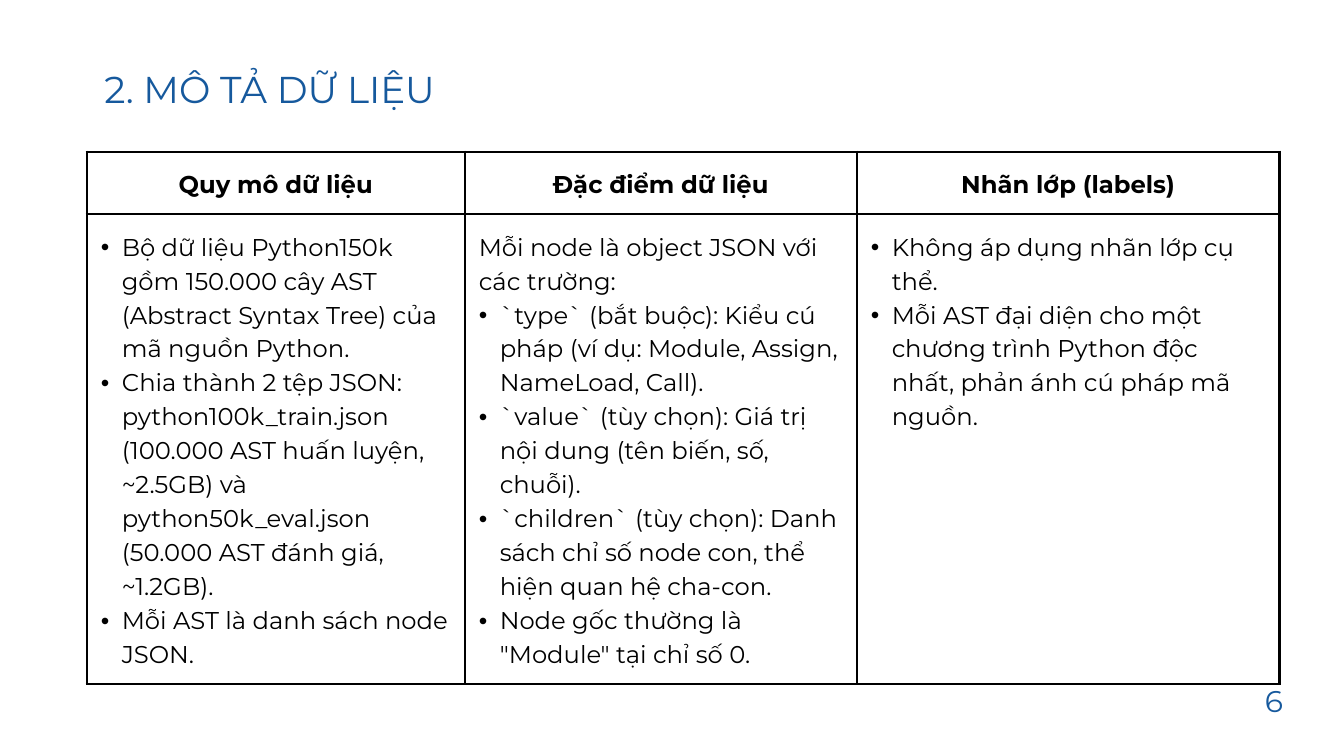
from dataclasses import dataclass

from lxml import etree
from pptx import Presentation
from pptx import util as u
from pptx.dml.color import RGBColor
from pptx.enum import text
from pptx.oxml import ns

PX = 9525


@dataclass(frozen=True)
class Theme:
    """Colours, font and type sizes of the deck."""
    font: str = "Montserrat"
    accent: str = "16599D"
    ink: str = "000000"
    title_size: int = 40
    number_size: int = 32
    body_size: int = 26
    body_leading: float = 36.4
    border: int = 3
    inset: int = 20
    indent: int = 30


def px(length):
    """Turn px into EMU."""
    return u.Emu(length * PX)


class Painter:
    """Draws styled elements on the current slide."""

    def __init__(self, page, theme):
        """Keep the slide and its style."""
        self.page = page
        self.theme = theme

    def add_words(self, para, words, size, color, leading, bold=False, align=None):
        """Fill a paragraph with one styled run."""
        para.alignment = align
        para.line_spacing = u.Pt(leading)
        span = para.add_run()
        span.text = words
        span.font.name = self.theme.font
        span.font.size = u.Pt(size)
        span.font.bold = bold
        span.font.color.rgb = RGBColor.from_string(color)

    def indent(self, para, margin, first=0):
        """Set the left margin and first-line indent."""
        properties = para._p.get_or_add_pPr()
        properties.set("marL", str(px(margin)))
        properties.set("indent", str(px(first)))
        return properties

    def bullet(self, para):
        """Give a paragraph a hanging bullet."""
        properties = self.indent(para, self.theme.indent, -self.theme.indent)
        font = etree.SubElement(properties, ns.qn("a:buFont"))
        font.set("typeface", "Arial")
        etree.SubElement(properties, ns.qn("a:buChar")).set("char", "•")

    def label(self, words, left, top, width, height, size, leading, wrap=True, align=None):
        """Add a text box without insets and return its paragraph."""
        box = self.page.shapes.add_textbox(px(left), px(top), px(width), px(height))
        frame = box.text_frame
        frame.margin_left = frame.margin_right = 0
        frame.margin_top = frame.margin_bottom = 0
        frame.word_wrap = wrap
        frame.auto_size = text.MSO_AUTO_SIZE.SHAPE_TO_FIT_TEXT
        para = frame.paragraphs[0]
        self.add_words(para, words, size, self.theme.accent, leading, align=align)
        return para

    def frame_cell(self, cell):
        """Clear a cell's fill, set its insets and draw its borders."""
        inset = px(self.theme.inset)
        cell.margin_left = cell.margin_right = inset
        cell.margin_top = cell.margin_bottom = inset
        cell.fill.background()
        properties = cell._tc.get_or_add_tcPr()
        for place, side in enumerate(("lnL", "lnR", "lnT", "lnB")):
            line = etree.Element(ns.qn(f"a:{side}"), w=str(u.Pt(self.theme.border)))
            fill = etree.SubElement(line, ns.qn("a:solidFill"))
            etree.SubElement(fill, ns.qn("a:srgbClr"), val=self.theme.ink)
            properties.insert(place, line)

    def table(self, columns, left, top, widths, heights):
        """Add a table with a header and a list of paragraphs per column."""
        theme = self.theme
        grid = self.page.shapes.add_table(
            2, len(columns), px(left), px(top), px(sum(widths)), px(sum(heights))
        ).table
        grid.first_row = grid.horz_banding = False
        for row, height in zip(grid.rows, heights):
            row.height = px(height)
        for index, (heading, intro, points) in enumerate(columns):
            grid.columns[index].width = px(widths[index])
            header, body = grid.cell(0, index), grid.cell(1, index)
            self.frame_cell(header)
            self.frame_cell(body)
            header.vertical_anchor = text.MSO_ANCHOR.MIDDLE
            self.add_words(header.text_frame.paragraphs[0], heading, theme.body_size, theme.ink,
                           theme.body_leading, bold=True, align=text.PP_ALIGN.CENTER)
            for order, words in enumerate(intro + points):
                frame = body.text_frame
                para = frame.add_paragraph() if order else frame.paragraphs[0]
                self.add_words(para, words, theme.body_size, theme.ink, theme.body_leading)
                if order >= len(intro):
                    self.bullet(para)


COLUMNS = [
    ("Quy mô dữ liệu", [], [
        "Bộ dữ liệu Python150k gồm 150.000 cây AST (Abstract Syntax Tree) của mã nguồn Python.",
        "Chia thành 2 tệp JSON: python100k_train.json (100.000 AST huấn luyện, ~2.5GB) "
        "và python50k_eval.json (50.000 AST đánh giá, ~1.2GB).",
        "Mỗi AST là danh sách node JSON.",
    ]),
    ("Đặc điểm dữ liệu", ["Mỗi node là object JSON với các trường:"], [
        "`type` (bắt buộc): Kiểu cú pháp (ví dụ: Module, Assign, NameLoad, Call).",
        "`value` (tùy chọn): Giá trị nội dung (tên biến, số, chuỗi).",
        "`children` (tùy chọn): Danh sách chỉ số node con, thể hiện quan hệ cha-con.",
        'Node gốc thường là "Module" tại chỉ số 0.',
    ]),
    ("Nhãn lớp (labels)", [], [
        "Không áp dụng nhãn lớp cụ thể.",
        "Mỗi AST đại diện cho một chương trình Python độc nhất, phản ánh cú pháp mã nguồn.",
    ]),
]


def main():
    """Build and save the data description slide."""
    deck = Presentation()
    deck.slide_width, deck.slide_height = px(1920), px(1080)
    theme = Theme()
    painter = Painter(deck.slides.add_slide(deck.slide_layouts[6]), theme)
    painter.label("6", 1807, 966, 26, 56, theme.number_size, 44.8,
                  wrap=False, align=text.PP_ALIGN.CENTER)
    painter.table(COLUMNS, 124, 217, widths=(540, 560, 604), heights=(89, 661))
    title = painter.label("2. MÔ TẢ DỮ LIỆU", 104, 100, 1475, 60, theme.title_size, 44)
    title.level = 1
    painter.indent(title, 45)
    deck.save("out.pptx")


if __name__ == "__main__":
    main()
